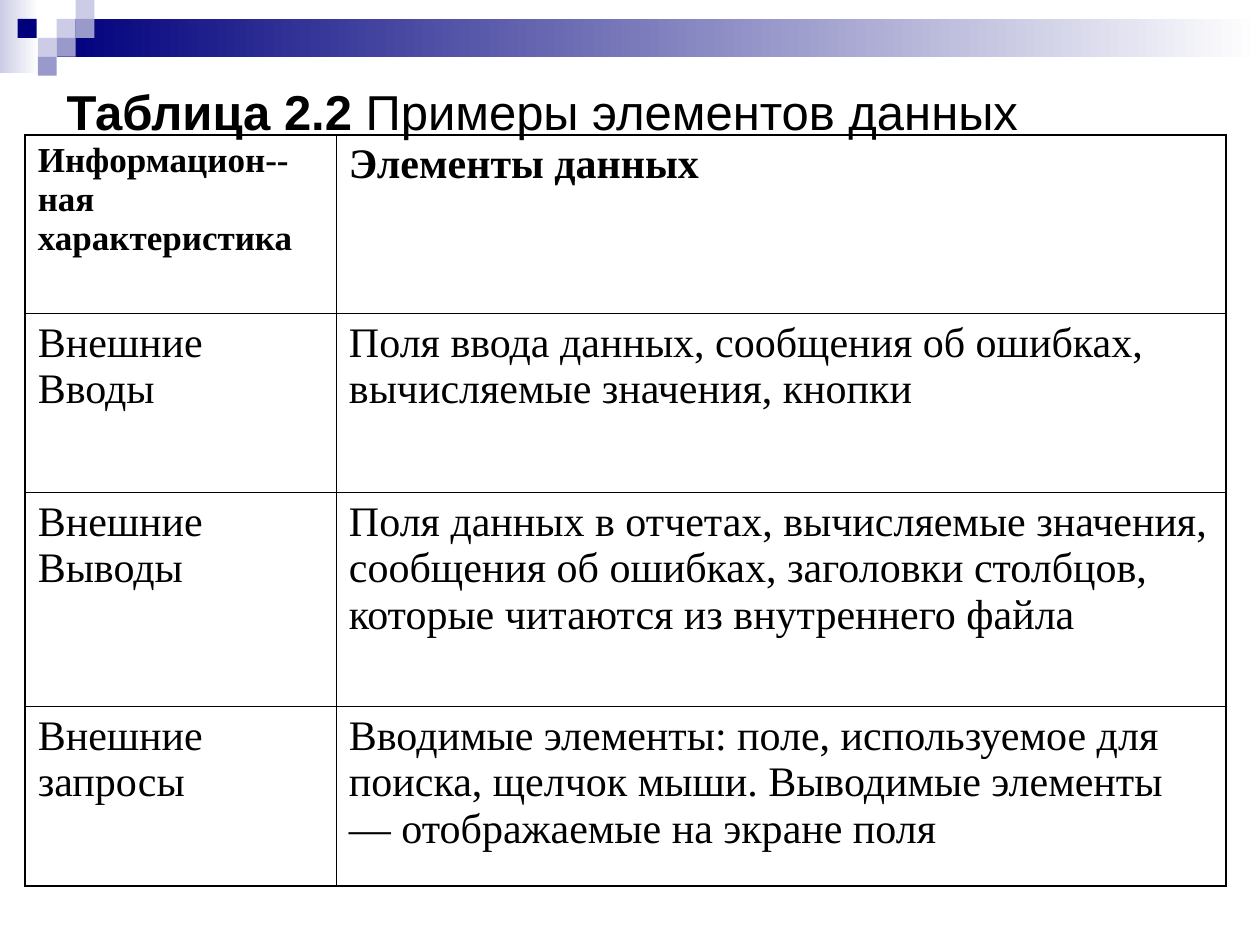
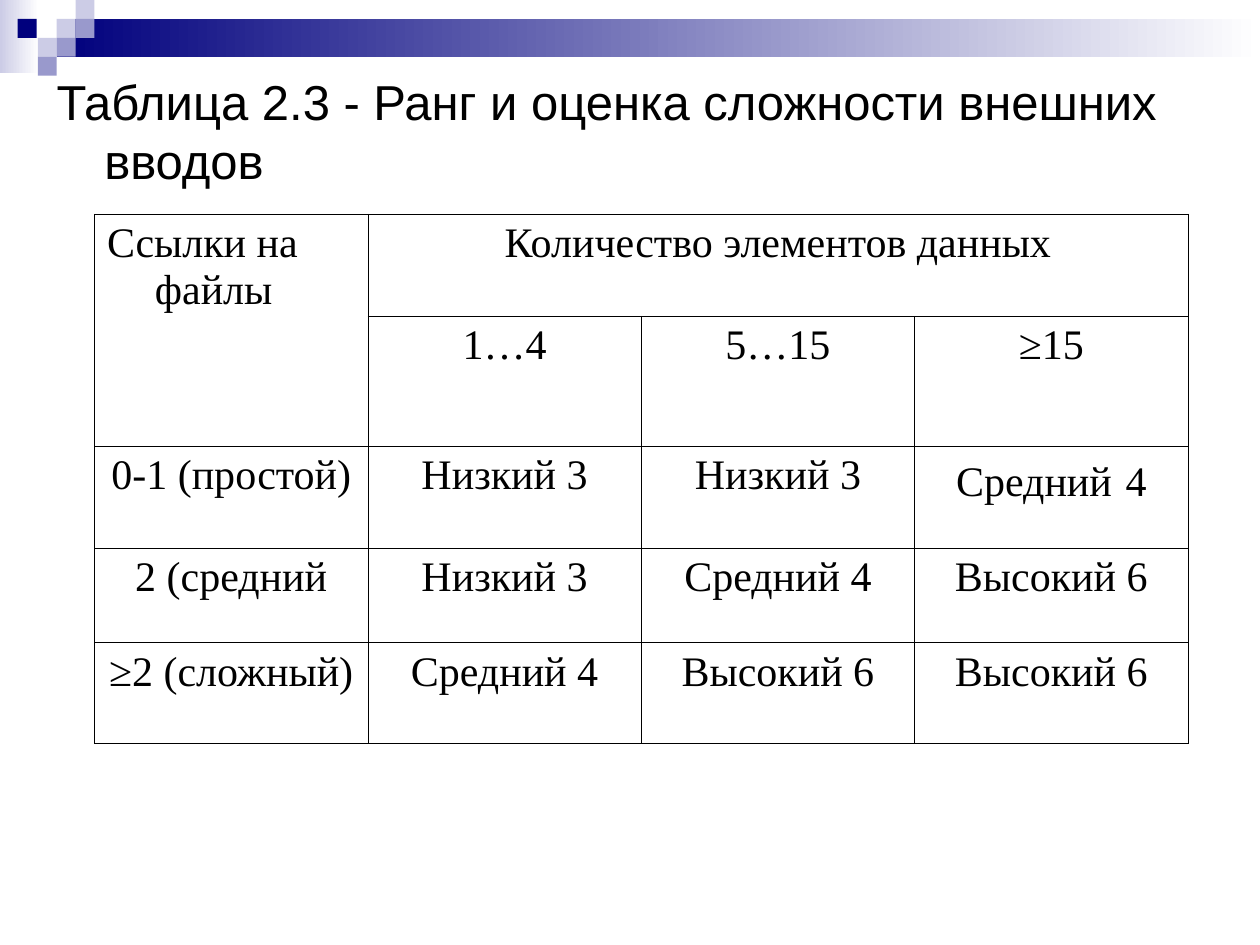
from lxml import etree
from pptx import Presentation
from pptx import util as u
from pptx.dml.color import RGBColor
from pptx.enum import shapes, text
from pptx.oxml import ns

WHITE = RGBColor(0xFF, 0xFF, 0xFF)
BLACK = RGBColor(0, 0, 0)
NAVY = RGBColor(0x00, 0x00, 0x7D)
LAVENDER = RGBColor(0xCC, 0xCC, 0xE6)
PERIWINKLE = RGBColor(0x99, 0x99, 0xCC)

# The slide is a grid of 200 columns by 150 rows.
UNIT = 0.05
SQUARE = 3
SQUARES = [(9, 3, LAVENDER), (12, 0, LAVENDER), (12, 3, PERIWINKLE),
           (6, 6, LAVENDER), (2.8, 3, NAVY), (9, 6, PERIWINKLE),
           (6, 9, PERIWINKLE)]

THIN, THICK = 0.45, 1.08
HANGING = 0.38

DATA_ELEMENTS = [
    ["Информацион--ная характеристика", "Элементы данных"],
    ["Внешние Вводы",
     "Поля ввода данных, сообщения об ошибках, вычисляемые значения, кнопки"],
    ["Внешние Выводы",
     "Поля данных в отчетах, вычисляемые значения, сообщения об ошибках, "
     "заголовки столбцов, которые читаются из внутреннего файла"],
    ["Внешние запросы",
     "Вводимые элементы: поле, используемое для поиска, щелчок мыши. "
     "Выводимые элементы — отображаемые на экране поля"],
]
INPUT_RANKS = [
    ["Ссылки на файлы", "Количество элементов данных", "", ""],
    ["", "1…4", "5…15", "≥15"],
    ["0-1 (простой)", "Низкий 3", "Низкий 3", ""],
    ["2 (средний", "Низкий 3", "Средний 4", "Высокий 6"],
    ["≥2 (сложный)", "Средний 4", "Высокий 6", "Высокий 6"],
]


def grid(*units):
    return [u.Inches(round(n * UNIT, 2)) for n in units]


class Deck:
    def __init__(self):
        self.prs = Presentation()
        self.prs.slide_width, self.prs.slide_height = grid(200, 150)
        self.slide = None

    def new_slide(self):
        self.slide = self.prs.slides.add_slide(self.prs.slide_layouts[6])
        self.block(0, 0, 6.2, 11.6, LAVENDER, fade=True)
        self.block(9, 3, 191, 6, NAVY, fade=True)
        for col, row, color in SQUARES:
            self.block(col, row, SQUARE, SQUARE, color)

    def block(self, col, row, cols, rows, color, fade=False):
        """Add a rectangle; fade runs from color at the left to white."""
        rect = self.slide.shapes.add_shape(
            shapes.MSO_SHAPE.RECTANGLE, *grid(col, row, cols, rows))
        rect.shadow.inherit = False
        rect.line.fill.background()
        if not fade:
            rect.fill.solid()
            rect.fill.fore_color.rgb = color
            return
        rect.fill.gradient()
        rect.fill.gradient_angle = 180
        for stop, position, shade in zip(rect.fill.gradient_stops, (0, 1), (WHITE, color)):
            stop.position = position
            stop.color.rgb = shade

    def style(self, font, size, name, bold=False):
        font.size, font.name, font.bold = u.Pt(size), name, bold
        font.color.rgb = BLACK

    def hang(self, paragraph):
        indent = u.Inches(HANGING)
        props = paragraph._p.get_or_add_pPr()
        props.set("marL", str(indent))
        props.set("indent", str(-indent))

    def title(self, col, row, cols, rows, caption, label=""):
        frame = self.slide.shapes.add_textbox(*grid(col, row, cols, rows)).text_frame
        frame.word_wrap = True
        line = frame.paragraphs[0]
        self.hang(line)
        self.style(line.font, 28, "Arial")
        if label:
            lead = line.add_run()
            lead.text = label
            lead.font.bold = True
        line.add_run().text = caption

    def table(self, col, row, widths, heights, entries, outer=THIN):
        table = self.slide.shapes.add_table(
            len(heights), len(widths),
            *grid(col, row, sum(widths), sum(heights))).table
        table.first_row = table.horz_banding = False
        for column, width in zip(table.columns, grid(*widths)):
            column.width = width
        for line, height in zip(table.rows, grid(*heights)):
            line.height = height
        last_row, last_col = len(heights) - 1, len(widths) - 1
        for r, values in enumerate(entries):
            for c, value in enumerate(values):
                cell = table.cell(r, c)
                cell.text = value
                cell.fill.background()
                self.style(cell.text_frame.paragraphs[0].font, 24, "Times New Roman")
                edges = {"lnL": c == 0, "lnR": c == last_col,
                         "lnT": r == 0, "lnB": r == last_row}
                self.borders(cell, {side: outer if is_outer else THIN
                                    for side, is_outer in edges.items()})
        return table

    def borders(self, cell, widths):
        props = cell._tc.get_or_add_tcPr()
        for place, (side, width) in enumerate(widths.items()):
            border = etree.Element(ns.qn(f"a:{side}"), w=str(u.Pt(width)))
            fill = etree.SubElement(border, ns.qn("a:solidFill"))
            etree.SubElement(fill, ns.qn("a:srgbClr"), val=str(BLACK))
            props.insert(place, border)


def data_elements_slide(deck):
    deck.new_slide()
    deck.title(8.6, 12, 181.2, 85, "Примеры элементов данных", label="Таблица 2.2 ")
    table = deck.table(4, 21.4, [49.4, 141.2], [28.4, 28.4, 34, 28.4],
                       DATA_ELEMENTS, outer=THICK)
    for c, size in enumerate((20, 24)):
        heading = table.cell(0, c).text_frame.paragraphs[0]
        deck.style(heading.font, size, "Times New Roman", bold=True)


def input_ranks_slide(deck):
    deck.new_slide()
    deck.title(7, 10.4, 189, 22, "Таблица 2.3 - Ранг и оценка сложности внешних вводов")
    table = deck.table(15, 34, [43.4] * 4, [16.2, 20.6, 16.2, 15, 16], INPUT_RANKS)
    table.cell(0, 0).merge(table.cell(1, 0))
    table.cell(0, 1).merge(table.cell(0, 3))
    for cell in table.iter_cells():
        line = cell.text_frame.paragraphs[0]
        deck.hang(line)
        line.alignment = text.PP_ALIGN.CENTER
    table.cell(0, 0).text_frame.paragraphs[0].alignment = text.PP_ALIGN.LEFT

    medium_rank = table.cell(2, 3).text_frame.paragraphs[0]
    for part in ("Средний", " ", "4"):
        run = medium_rank.add_run()
        run.text = part
        if part == " ":
            deck.style(run.font, 28, "Arial")


def main():
    deck = Deck()
    data_elements_slide(deck)
    input_ranks_slide(deck)
    deck.prs.save("out.pptx")


if __name__ == "__main__":
    main()
